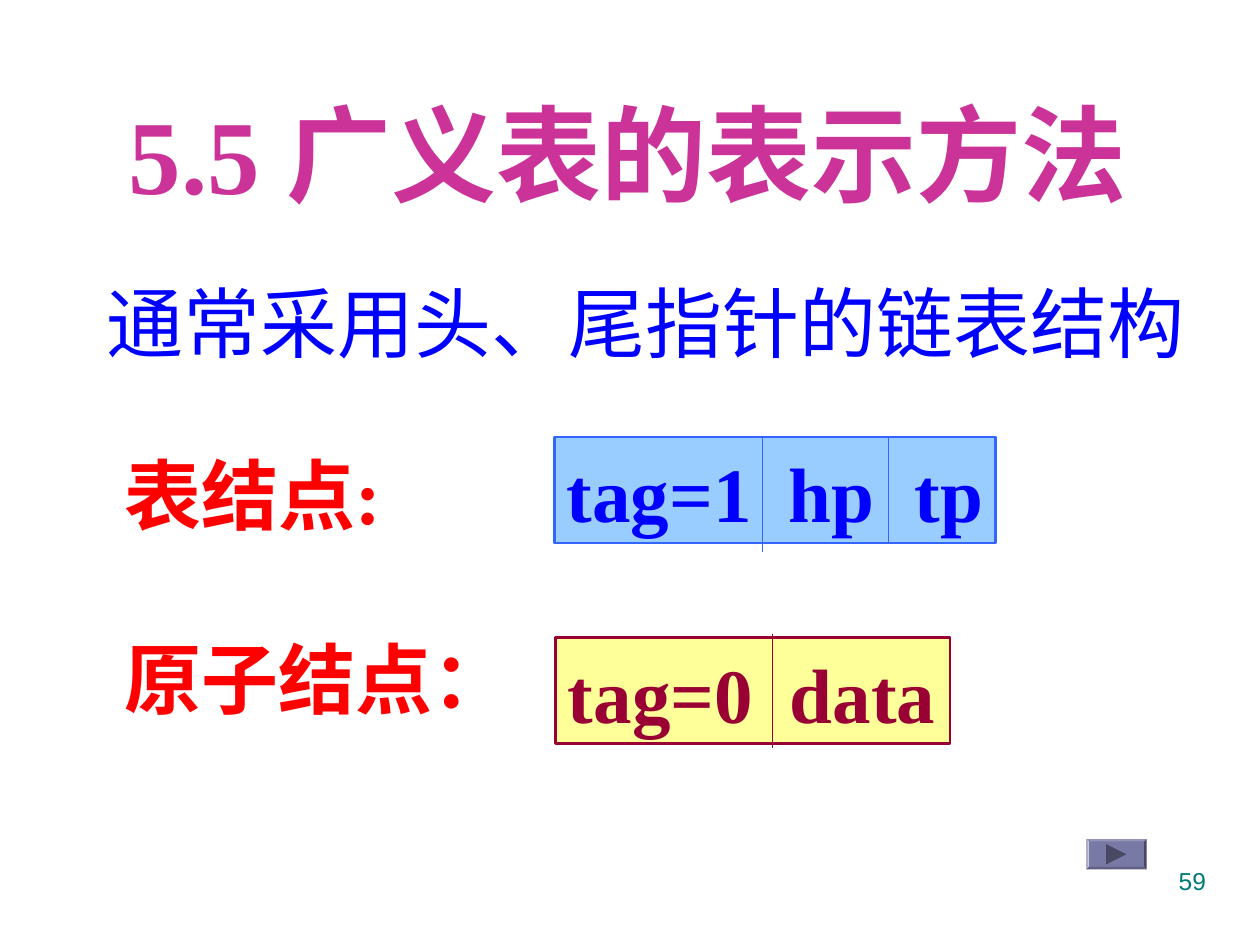
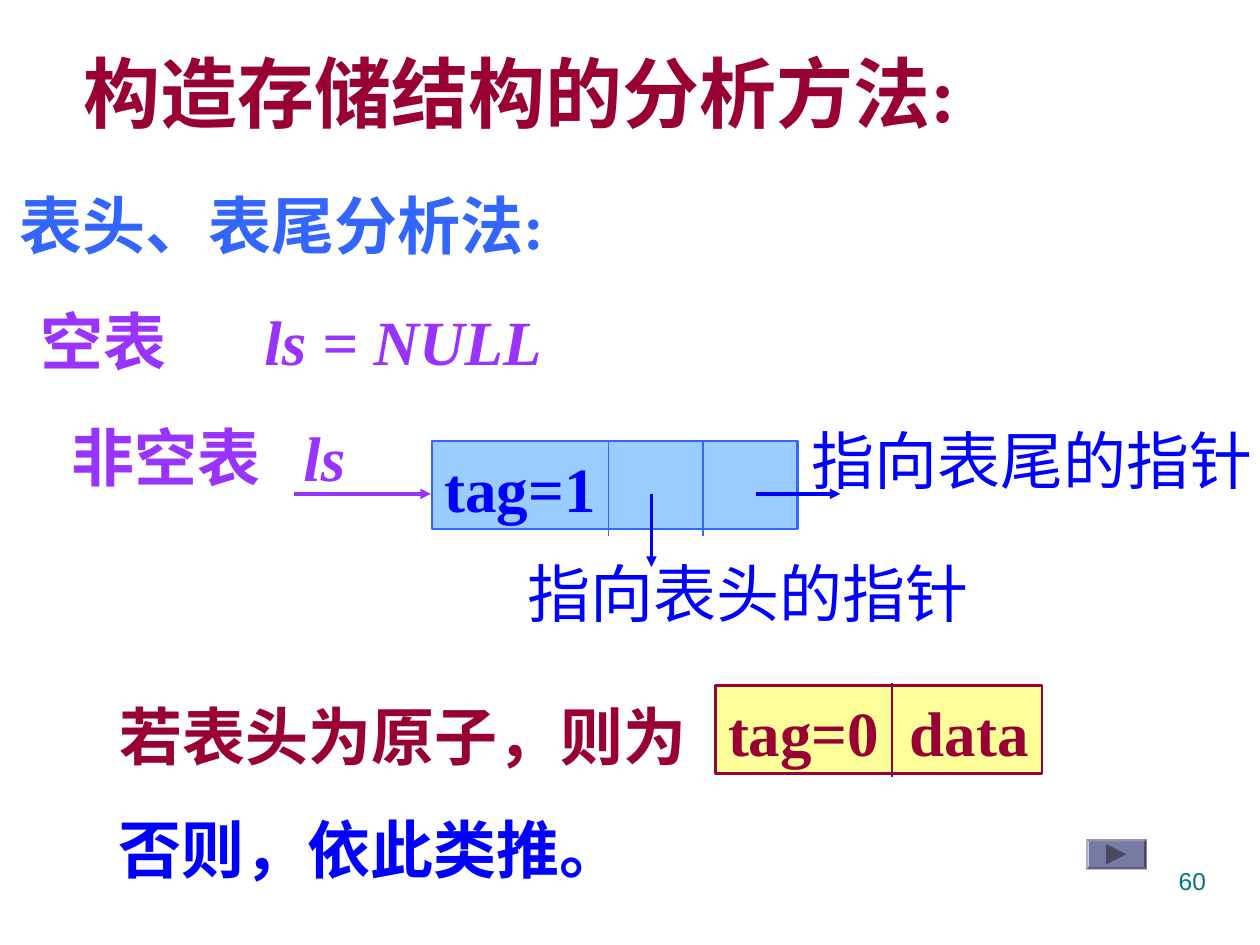
from lxml.etree import SubElement
from pptx import Presentation
from pptx.dml.color import RGBColor
from pptx.enum.shapes import MSO_CONNECTOR, MSO_SHAPE
from pptx.enum.text import MSO_ANCHOR, MSO_AUTO_SIZE, PP_ALIGN
from pptx.oxml.ns import qn
from pptx.util import Inches, Pt

COLUMNS, ROWS = 100, 75
SLIDE_WIDTH, SLIDE_HEIGHT = Inches(10), Inches(7.5)
LATIN, CHINESE = "Times New Roman", "Noto Sans CJK SC"
BLUE, RED, WINE, PURPLE, SKY = "0000FF", "FF0000", "990033", "9933FF", "3366FF"
MAGENTA, TEAL = "CC3399", "007A77"
LIST_NODE = {"fill": "99CCFF", "edge": SKY, "ink": BLUE, "gap": 2.1}
ATOM_NODE = {"fill": "FFFF99", "edge": WINE, "ink": WINE, "gap": 1.4}


def rgb(hex_color):
    return RGBColor.from_string(hex_color)


def col(n):
    return round(SLIDE_WIDTH * n / COLUMNS)


def row(n):
    return round(SLIDE_HEIGHT * n / ROWS)


def area(left, top, width, height):
    return col(left), row(top), col(width), row(height)


def line_height(line, size, lead):
    is_chinese = any(ord(letter) > 0x2E80 for letter in line)
    return Pt(round(size * (lead or (1.3 if is_chinese else 1.23)), 1))


def add_tabs(paragraph, stops):
    tab_list = SubElement(paragraph._p.get_or_add_pPr(), qn("a:tabLst"))
    for stop in stops:
        SubElement(tab_list, qn("a:tab"), pos=str(col(stop)), algn="l")


def write(shape, *lines, size=36, color=BLUE, bold=False, font=LATIN,
          align=PP_ALIGN.LEFT, lead=None, before=0, tabs=()):
    frame = shape.text_frame
    frame.word_wrap = True
    frame.auto_size = MSO_AUTO_SIZE.NONE
    frame.vertical_anchor = MSO_ANCHOR.TOP
    frame.margin_left, frame.margin_top, frame.margin_bottom = col(1), row(0.5), row(0.5)
    frame.margin_right = col(1) if align == PP_ALIGN.RIGHT else 0
    for index, line in enumerate(lines):
        paragraph = frame.add_paragraph() if index else frame.paragraphs[0]
        paragraph.alignment = align
        paragraph.line_spacing = line_height(line, size, lead)
        paragraph.space_before = Pt(before if index else 0)
        if tabs:
            add_tabs(paragraph, tabs)
        for part, words in enumerate(line.split("*")):
            if not words:
                continue
            run = paragraph.add_run()
            run.text = words
            run.font.size = Pt(size)
            run.font.bold = bold
            run.font.italic = part % 2 == 1
            run.font.color.rgb = rgb(color)
            run.font.name = font
            SubElement(run._r.get_or_add_rPr(), qn("a:ea"), typeface=CHINESE)


def label(slide, place, *lines, **style):
    write(slide.shapes.add_textbox(*area(*place)), *lines, **style)


def title(slide, place, words, **style):
    heading = slide.shapes.title
    heading.left, heading.top, heading.width, heading.height = area(*place)
    write(heading, words, bold=True, **style)


def plain(shape, fill, edge=None):
    shape.shadow.inherit = False
    shape.fill.solid()
    shape.fill.fore_color.rgb = rgb(fill)
    if edge:
        shape.line.color.rgb = rgb(edge)
        shape.line.width = Pt(1.5)
    else:
        shape.line.fill.background()


def line(slide, start, end, color, width=0.75, arrow=False):
    stroke = slide.shapes.add_connector(
        MSO_CONNECTOR.STRAIGHT, col(start[0]), row(start[1]), col(end[0]), row(end[1]))
    stroke.line.color.rgb = rgb(color)
    stroke.line.width = Pt(width)
    properties = stroke._element.spPr
    if arrow:
        SubElement(properties.find(qn("a:ln")), qn("a:tailEnd"), type="triangle")
    SubElement(properties, qn("a:effectLst"))


def pointer(slide, start, end, color=BLUE):
    line(slide, start, end, color, width=2, arrow=True)


def node(slide, place, fields, dividers, kind, size):
    box = slide.shapes.add_shape(MSO_SHAPE.RECTANGLE, *area(*place))
    plain(box, kind["fill"], kind["edge"])
    text_start = place[0] + 1
    stops = [x + kind["gap"] - text_start for x, _, _ in dividers]
    write(box, "\t".join(fields), size=size, color=kind["ink"], bold=True, tabs=stops)
    for x, top, bottom in dividers:
        line(slide, (x, top), (x, bottom), kind["edge"])


def next_button(slide):
    button = slide.shapes.add_shape(MSO_SHAPE.BEVEL, *area(86.2, 66.6, 4.8, 2.4))
    button.adjustments[0] = 0.08
    plain(button, "7979A5")
    outline = slide.shapes.build_freeform(col(87.8), row(67))
    outline.add_line_segments([(col(89.4), row(67.8)), (col(87.8), row(68.6))])
    plain(outline.convert_to_shape(), "494963")


def add_slide(deck, number):
    slide = deck.slides.add_slide(deck.slide_layouts[5])
    label(slide, (71.7, 68.3, 25, 5.2), str(number), size=14, color=TEAL,
          font="Arial", align=PP_ALIGN.RIGHT, lead=1.15)
    next_button(slide)
    return slide


def representation(deck):
    slide = add_slide(deck, 59)
    title(slide, (9.2, 5.8, 87.3, 11), "5.5 广义表的表示方法", size=60, color=MAGENTA)
    label(slide, (7.5, 20.8, 87.6, 8.4), "通常采用头、尾指针的链表结构", size=44)
    label(slide, (8.9, 34.4, 32.6, 23), "表结点:", "原子结点：",
          size=44, color=RED, bold=True, before=48)
    node(slide, (44, 34.7, 35, 8.4), ("tag=1", "hp", "tp"),
         [(60.5, 34.6, 43.8), (70.5, 34.7, 43.1)], LIST_NODE, 44)
    node(slide, (44.1, 50.6, 31.3, 8.4), ("tag=0", "data"),
         [(61.3, 50.3, 59.4)], ATOM_NODE, 44)


def analysis(deck):
    slide = add_slide(deck, 60)
    title(slide, (5.6, 2.5, 74.4, 8.4), "构造存储结构的分析方法:", size=44, color=WINE)
    label(slide, (0.6, 13.3, 46, 7.6), "表头、表尾分析法:", color=SKY, bold=True, lead=1.4)
    label(slide, (2.2, 23, 50.2, 7), "空表\t*ls = NULL*", color=PURPLE, bold=True, tabs=[17.8])
    label(slide, (4.7, 32.2, 26.5, 7), "非空表\t*ls*", color=PURPLE, bold=True, tabs=[18.4])
    node(slide, (34.3, 35, 29, 7), ("tag=1",),
         [(48.3, 35, 42.5), (55.8, 35, 42.5)], LIST_NODE, 36)
    pointer(slide, (23.3, 39.2), (34.2, 39.2), PURPLE)
    pointer(slide, (51.7, 39.2), (51.7, 45))
    pointer(slide, (60, 39.2), (66.7, 39.2))
    label(slide, (40.9, 43, 37, 7), "指向表头的指针")
    label(slide, (63.4, 32.5, 36.6, 7), "指向表尾的指针")
    label(slide, (8.5, 53.9, 47, 7.6), "若表头为原子，则为", color=WINE, bold=True, lead=1.4)
    node(slide, (56.8, 54.4, 25.9, 7), ("tag=0", "data"),
         [(70.8, 54.2, 61.7)], ATOM_NODE, 36)
    label(slide, (8.4, 63.3, 42, 7), "否则，依此类推。", bold=True)


def main():
    deck = Presentation()
    deck.slide_width, deck.slide_height = SLIDE_WIDTH, SLIDE_HEIGHT
    representation(deck)
    analysis(deck)
    deck.save("out.pptx")


if __name__ == "__main__":
    main()
